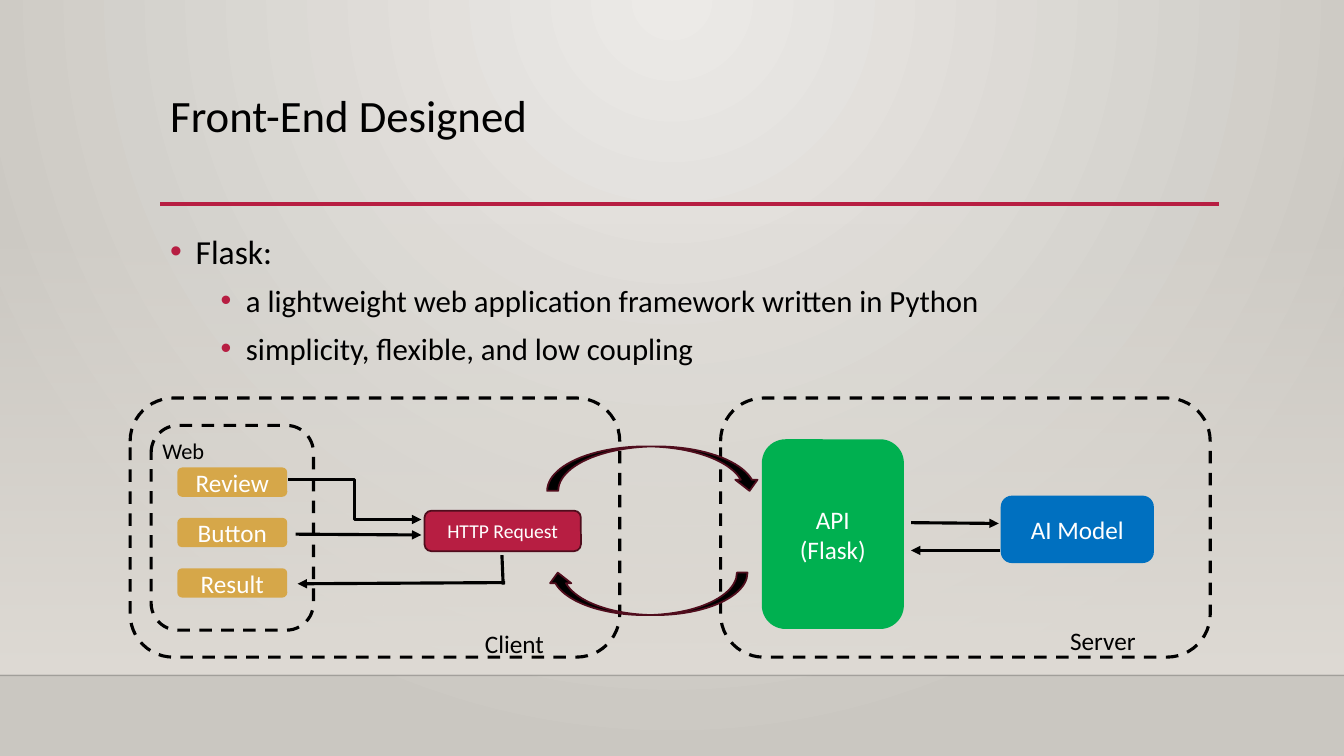
from lxml.etree import SubElement
from pptx import Presentation
from pptx.dml.color import RGBColor
from pptx.enum.dml import MSO_LINE as Dash
from pptx.enum.shapes import MSO_CONNECTOR as Link, MSO_SHAPE as Kind
from pptx.enum.text import MSO_ANCHOR as Anchor, PP_ALIGN as Align
from pptx.oxml.ns import qn
from pptx.util import Cm, Pt

BLACK = RGBColor(0x00, 0x00, 0x00)
WHITE = RGBColor(0xFF, 0xFF, 0xFF)
RED = RGBColor(0xB7, 0x1E, 0x42)
WINE = RGBColor(0x50, 0x0D, 0x1D)
GOLD = RGBColor(0xD6, 0xA7, 0x49)
GREEN = RGBColor(0x00, 0xB0, 0x50)
BLUE = RGBColor(0x00, 0x70, 0xC0)
PALE = RGBColor(0xEC, 0xEA, 0xE7)
GREY = RGBColor(0xCA, 0xC7, 0xC1)
SAND = RGBColor(0xDF, 0xDB, 0xD5)
WIDE, HIGH = 33.87, 19.05


def style(item, **form):
    for name, value in form.items():
        setattr(item, name, value)


def add_tag(node, tag, **attrs):
    return SubElement(node, qn(tag), attrs)


def fade(color, share):
    node = color.find(".//" + qn("a:srgbClr"))
    add_tag(node, "a:alpha", val=str(share * 1000))


def blend(fill, *colors):
    fill.gradient()
    for stop, color in zip(fill.gradient_stops, colors):
        stop.color.rgb = color


def write(shape, lines, size, color, **form):
    frame = shape.text_frame
    frame.word_wrap = True
    for i, line in enumerate(lines):
        para = frame.paragraphs[0] if i == 0 else frame.add_paragraph()
        style(para, **form)
        run = para.add_run()
        run.text = line
        style(run.font, name="Calibri", size=Pt(size))
        run.font.color.rgb = color
    return frame


def label(slide, box, lines, size, **form):
    text = slide.shapes.add_textbox(*map(Cm, box))
    return write(text, lines, size, BLACK, **form)


def block(slide, kind, box, fill=None, edge=None, width=1.25, dash=None):
    shape = slide.shapes.add_shape(kind, *map(Cm, box))
    shape.shadow.inherit = False
    for part, color in ((shape.fill, fill), (shape.line.fill, edge)):
        if color is None:
            part.background()
        else:
            part.solid()
            part.fore_color.rgb = color
    if edge is not None:
        style(shape.line, width=Pt(width), dash_style=dash)
    return shape


def node(slide, box, lines, fill, size=18, edge=None):
    shape = block(slide, Kind.ROUNDED_RECTANGLE, box, fill, edge)
    frame = write(shape, lines, size, WHITE, alignment=Align.CENTER)
    frame.vertical_anchor = Anchor.MIDDLE


def frame_box(slide, box):
    block(slide, Kind.ROUNDED_RECTANGLE, box, None, BLACK, 2.25, Dash.DASH)


def link(slide, start, end, color=BLACK, width=2.25, head=True, kind=Link.STRAIGHT):
    wire = slide.shapes.add_connector(kind, *map(Cm, (*start, *end)))
    wire.line.color.rgb = color
    wire.line.width = Pt(width)
    if head:
        add_tag(wire.line._ln, "a:tailEnd", type="triangle")
    add_tag(wire._element.spPr, "a:effectLst")
    return wire


def backdrop(slide):
    # Radial glow from the top centre
    fill = slide.background.fill
    blend(fill, PALE, GREY)
    grad = slide.background._cSld.find(".//" + qn("a:gradFill"))
    grad.remove(grad.find(qn("a:lin")))
    glow = add_tag(grad, "a:path", path="circle")
    add_tag(glow, "a:fillToRect", l="43000", t="0", r="43000", b="100000")

    # Wall that fades in downward, and the floor edge
    wall = block(slide, Kind.RECTANGLE, (0, 5.61, WIDE, 11.4))
    blend(wall.fill, SAND, SAND)
    wall.fill.gradient_angle = 270
    fade(wall._element.spPr.find(".//" + qn("a:gs")), 0)
    edge = link(slide, (0, 17.02), (WIDE, 17.02), width=1, head=False)
    fade(edge.line._ln, 20)


def heading(slide, box):
    x, y, w, h = box
    link(slide, (x, y + 2.9), (x + w, y + 2.9), RED, 2.5, head=False)
    label(slide, box, ["Front-End Designed"], 32, line_spacing=0.9)


def points(slide, box):
    frame = label(slide, box, ["Flask:"], 24, line_spacing=1.1, space_before=Pt(10))
    for text in ("a lightweight web application framework written in Python",
                 "simplicity, flexible, and low coupling"):
        para = frame.add_paragraph()
        style(para, level=1, line_spacing=1.1, space_before=Pt(5))
        run = para.add_run()
        run.text = text
        style(run.font, name="Calibri", size=Pt(22))
        run.font.color.rgb = BLACK
    for para in frame.paragraphs:
        props = para._p.get_or_add_pPr()
        props.set("marL", str(Cm(0.64 + 1.27 * para.level)))
        props.set("indent", str(Cm(-0.64)))
        tint = add_tag(props, "a:buClr")
        add_tag(tint, "a:srgbClr", val=str(RED))
        add_tag(props, "a:buFont", typeface="Arial")
        add_tag(props, "a:buChar", char="•")


def server(slide, box):
    x, y, w, h = box
    frame_box(slide, box)
    label(slide, (x + 8.56, y + 5.61, 6.48, 0.74), ["Server"], 18)
    node(slide, (x + 1.04, y + 1.04, 3.58, 4.78), ["API", "(Flask)"], GREEN)
    node(slide, (x + 7.06, y + 2.46, 3.86, 1.7), ["AI Model"], BLUE)
    link(slide, (x + 4.8, y + 3.14), (x + 7.01, y + 3.16))
    link(slide, (x + 7.04, y + 3.84), (x + 4.8, y + 3.84))


def client(slide, box):
    x, y, w, h = box
    # Web page with its controls
    frame_box(slide, (x + 0.53, y + 0.69, 4.09, 5.16))
    label(slide, (x + 0.56, y + 0.86, 2.13, 0.66), ["Web"], 16)
    for i, name in enumerate(("Review", "Button", "Result")):
        node(slide, (x + 1.19, y + 1.75 + 1.27 * i, 2.77, 0.74), [name], GOLD)

    # Controls to request
    link(slide, (x + 3.99, y + 2.06), (x + 7.34, y + 3.06), kind=Link.ELBOW)
    link(slide, (x + 4.17, y + 3.43), (x + 7.34, y + 3.45))
    frame_box(slide, box)
    label(slide, (x + 8.69, y + 5.69, 6.48, 0.74), ["Client"], 18)
    node(slide, (x + 7.42, y + 2.84, 3.94, 1.02), ["HTTP Request"], RED, 14, WINE)

    # Request back to result
    link(slide, (x + 9.37, y + 3.96), (x + 9.4, y + 4.7), head=False)
    link(slide, (x + 9.45, y + 4.65), (x + 4.22, y + 4.68))


def exchange(slide, box):
    x, y, w, h = box
    block(slide, Kind.CURVED_DOWN_ARROW, (x, y, w, 1.12), BLACK, WINE)
    back = block(slide, Kind.CURVED_UP_ARROW, (x, y + h - 1.07, 5.05, 1.07), BLACK, WINE)
    back._element.spPr.find(qn("a:xfrm")).set("flipH", "1")


def main():
    deck = Presentation()
    style(deck, slide_width=Cm(WIDE), slide_height=Cm(HIGH))
    slide = deck.slides.add_slide(deck.slide_layouts[6])
    backdrop(slide)
    heading(slide, (4.04, 2.24, 26.67, 2.92))
    server(slide, (18.16, 10.03, 12.34, 6.53))
    client(slide, (3.28, 10.03, 12.34, 6.53))
    exchange(slide, (13.79, 11.25, 5.38, 4.25))
    points(slide, (4.04, 5.59, 26.67, 3.94))
    deck.save("out.pptx")


if __name__ == "__main__":
    main()
